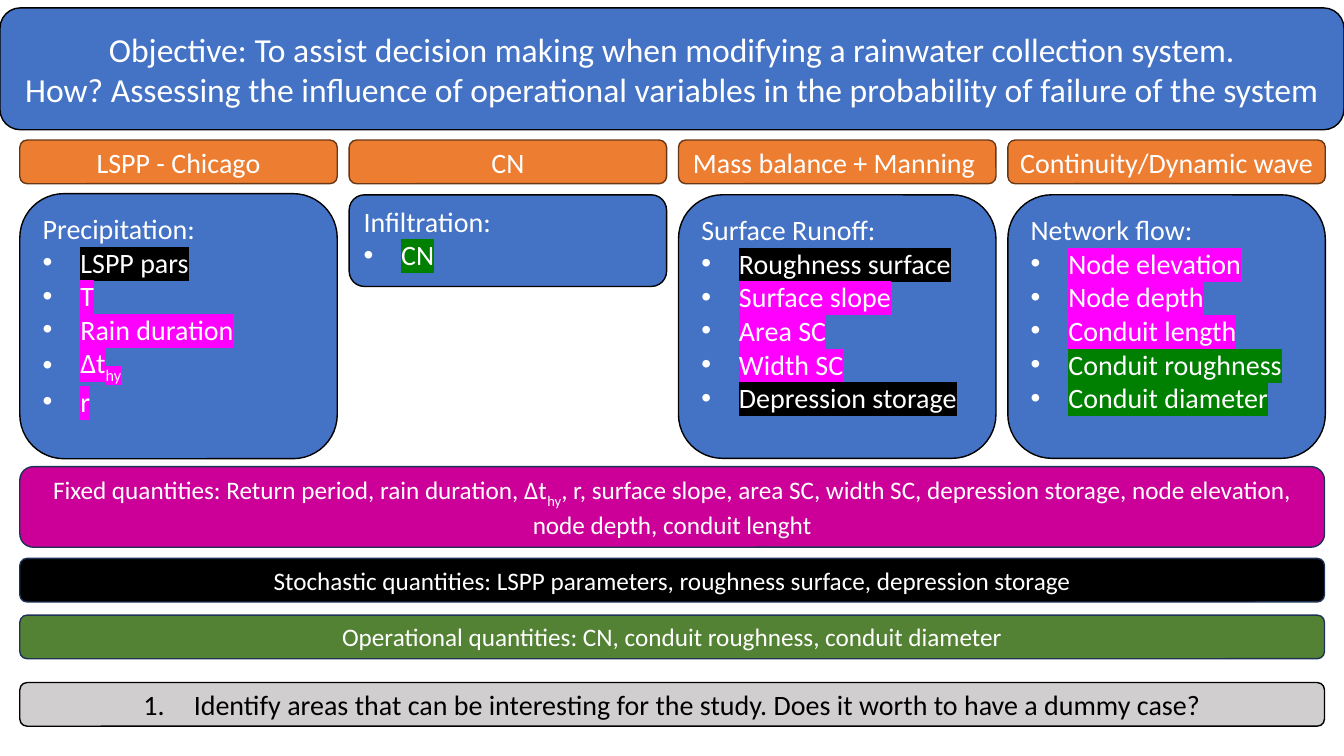
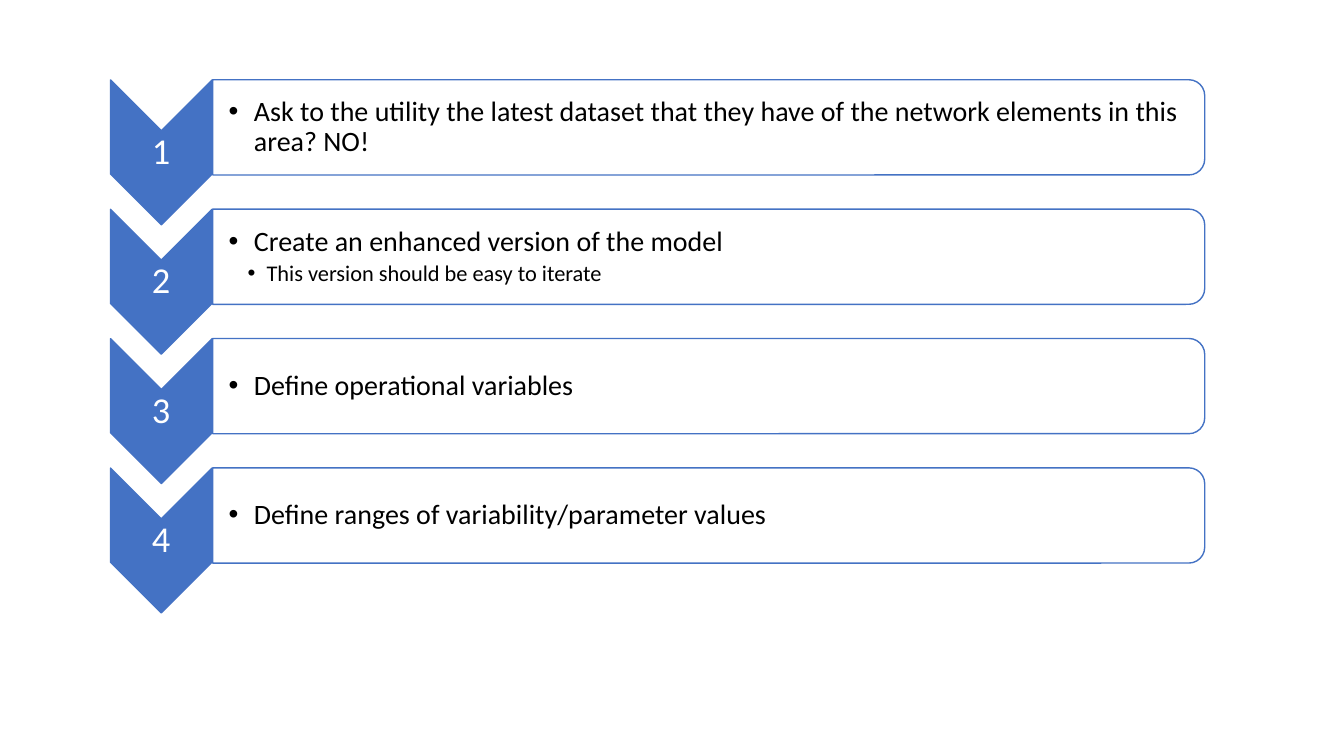
from lxml import etree
from pptx import Presentation
from pptx import util as u
from pptx.dml.color import RGBColor
from pptx.enum import shapes, text
from pptx.oxml.ns import qn

COLOURS = {
    "blue": "4472C4", "orange": "ED7D31", "brown": "683715", "navy": "1E3256",
    "purple": "CC0099", "olive": "548235", "grey": "D0CECE",
    "black": "000000", "white": "FFFFFF",
    "magenta": "FF00FF", "green": "008000",
}
ROUNDED = shapes.MSO_SHAPE.ROUNDED_RECTANGLE
CENTER = text.PP_ALIGN.CENTER
LEFT = text.PP_ALIGN.LEFT
MIDDLE = text.MSO_ANCHOR.MIDDLE
TOP = text.MSO_ANCHOR.TOP


def colour(name):
    return RGBColor.from_string(COLOURS[name])


class Deck:
    font = "Calibri"

    def __init__(self):
        self.presentation = Presentation()
        self.presentation.slide_width = u.Cm(33.87)
        self.presentation.slide_height = u.Cm(19.05)
        self.slide = None

    def new_slide(self, layout):
        self.slide = self.presentation.slides.add_slide(self.presentation.slide_layouts[layout])

    def shape(self, kind, box, fill, line, rotation=0):
        shape = self.slide.shapes.add_shape(kind, *map(u.Cm, box))
        shape.shadow.inherit = False
        shape.fill.solid()
        shape.fill.fore_color.rgb = colour(fill)
        shape.line.color.rgb = colour(line)
        shape.line.width = u.Pt(1)
        shape.rotation = rotation
        return shape

    def run(self, paragraph, words, size, ink, highlight=None, subscript=False):
        run = paragraph.add_run()
        run.text = words
        run.font.size = u.Pt(size)
        run.font.color.rgb = colour(ink)
        properties = run.font.fill._xPr
        if highlight:
            mark = etree.Element(qn("a:highlight"))
            etree.SubElement(mark, qn("a:srgbClr")).set("val", COLOURS[highlight])
            properties.find(qn("a:solidFill")).addnext(mark)
        run.font.name = self.font
        if subscript:
            properties.set("baseline", "-25000")

    def paragraph(self, frame, runs, size, ink="white", align=LEFT, first=False):
        paragraph = frame.paragraphs[0] if first else frame.add_paragraph()
        paragraph.alignment = align
        for words, *marks in runs:
            self.run(paragraph, words, size, ink, *marks)
        return paragraph

    def bullet(self, paragraph, indent, hanging, numbered=False):
        properties = paragraph._p.get_or_add_pPr()
        properties.set("marL", str(u.Cm(indent)))
        properties.set("indent", str(-u.Cm(hanging)))
        if numbered:
            etree.SubElement(properties, qn("a:buAutoNum")).set("type", "arabicPeriod")
        else:
            etree.SubElement(properties, qn("a:buFont")).set("typeface", "Arial")
            etree.SubElement(properties, qn("a:buChar")).set("char", "•")

    def title(self, box, lines):
        banner = self.shape(ROUNDED, box, "blue", "black")
        title = self.slide.shapes.title
        banner.element.addnext(title.element)
        title.left, title.top, title.width, title.height = map(u.Cm, box)
        frame = title.text_frame
        frame.word_wrap = True
        frame.auto_size = text.MSO_AUTO_SIZE.NONE
        frame.vertical_anchor = MIDDLE
        for index, line in enumerate(lines):
            self.paragraph(frame, [(line,)], 24, align=CENTER, first=index == 0)

    def band(self, box, runs, fill, line="navy", size=18, ink="white", numbered=False):
        frame = self.shape(ROUNDED, box, fill, line).text_frame
        frame.word_wrap = True
        frame.vertical_anchor = MIDDLE
        paragraph = self.paragraph(frame, runs, size, ink, CENTER, True)
        if numbered:
            self.bullet(paragraph, 1.27, 1.27, True)

    def card(self, box, heading, items):
        frame = self.shape(ROUNDED, box, "blue", "black").text_frame
        frame.word_wrap = True
        frame.vertical_anchor = TOP
        self.paragraph(frame, [(heading,)], 20, first=True)
        for runs in items:
            self.bullet(self.paragraph(frame, runs, 20), 0.95, 0.95)

    def text_box(self, box, insets):
        frame = self.slide.shapes.add_textbox(*map(u.Cm, box)).text_frame
        frame.word_wrap = True
        frame.vertical_anchor = MIDDLE
        (frame.margin_left, frame.margin_top,
         frame.margin_right, frame.margin_bottom) = map(u.Cm, insets)
        return frame

    def step(self, number, top, task, detail=None):
        self.shape(shapes.MSO_SHAPE.CHEVRON, (2.24, top + 0.55, 3.65, 2.56), "blue", "blue", 90)
        frame = self.text_box((2.78, top + 1.29, 2.56, 1.09), (0.05,) * 4)
        label = self.paragraph(frame, [(str(number),)], 26, align=CENTER, first=True)
        label.line_spacing = 0.9

        width, height = 25, 2.4
        panel = (5.36 + (width - height) / 2, top - (width - height) / 2, height, width)
        self.shape(shapes.MSO_SHAPE.ROUND_2_SAME_RECTANGLE, panel, "white", "blue", 90)
        frame = self.text_box((5.36, top + 0.12, 24.89, 2.16), (0.4, 0.03, 0.03, 0.03))
        lines = [(task, 20, 0.64, 0.64)]
        if detail:
            lines.append((detail, 16, 0.96, 0.48))
        for index, (words, size, indent, hanging) in enumerate(lines):
            paragraph = self.paragraph(frame, [(words,)], size, "black", first=index == 0)
            paragraph.level = index + 1
            paragraph.line_spacing = 0.9
            paragraph.space_after = u.Pt(3)
            self.bullet(paragraph, indent, hanging)


def fixed(words):
    return [(words, "magenta")]


def stochastic(words):
    return [(words, "black")]


def operational(words):
    return [(words, "green")]


def objective_slide(deck):
    deck.new_slide(5)
    deck.title((0, 0.2, 33.87, 3.07), [
        "Objective: To assist decision making when modifying a rainwater collection system.",
        "How? Assessing the influence of operational variables in the probability of failure of the system",
    ])
    columns = [
        ("LSPP - Chicago", "Precipitation:", 4.88, 6.68, [
            stochastic("LSPP pars"), fixed("T"), fixed("Rain duration"),
            [("Δt", "magenta"), ("hy", "magenta", True)], fixed("r")]),
        ("CN", "Infiltration:", 4.91, 2.31, [operational("CN")]),
        ("Mass balance + Manning ", "Surface Runoff:", 4.91, 6.64, [
            stochastic("Roughness surface"), fixed("Surface slope"), fixed("Area SC"),
            fixed("Width SC"), stochastic("Depression storage")]),
        ("Continuity/Dynamic wave", "Network flow:", 4.91, 6.64, [
            fixed("Node elevation"), fixed("Node depth"), fixed("Conduit length"),
            operational("Conduit roughness"), operational("Conduit diameter")]),
    ]
    for index, (method, heading, top, height, items) in enumerate(columns):
        left = 0.5 + 8.3 * index
        deck.card((left, top, 8, height), heading, items)
        deck.band((left, 3.53, 8, 1.1), [(method,)], "orange", "brown", 20)

    left, width = 0.5, 32.88
    deck.band((left, 11.76, width, 2.03), [
        ("Fixed quantities: Return period, rain duration, Δt",),
        ("hy", None, True),
        (", r, surface slope, area SC, width SC, depression storage, node elevation, "
         "node depth, conduit lenght",),
    ], "purple")
    deck.band((left, 14.07, width, 1.1), [
        ("Stochastic quantities: LSPP parameters, roughness surface, depression storage",)], "black")
    deck.band((left, 15.5, width, 1.1), [
        ("Operational quantities: CN, conduit roughness, conduit diameter",)], "olive")
    deck.band((left, 17.2, width, 1.1), [
        ("Identify areas that can be interesting for the study. "
         "Does it worth to have a dummy case?",)], "grey", "black", 20, "black", True)


def steps_slide(deck):
    deck.new_slide(6)
    steps = [
        ("Ask to the utility the latest dataset that they have of the network elements "
         "in this area? NO!",),
        ("Create an enhanced version of the model", "This version should be easy to iterate"),
        ("Define operational variables",),
        ("Define ranges of variability/parameter values",),
    ]
    for index, step in enumerate(steps):
        deck.step(index + 1, 2.01 + 3.26 * index, *step)


def main():
    deck = Deck()
    objective_slide(deck)
    steps_slide(deck)
    deck.presentation.save("out.pptx")


if __name__ == "__main__":
    main()
